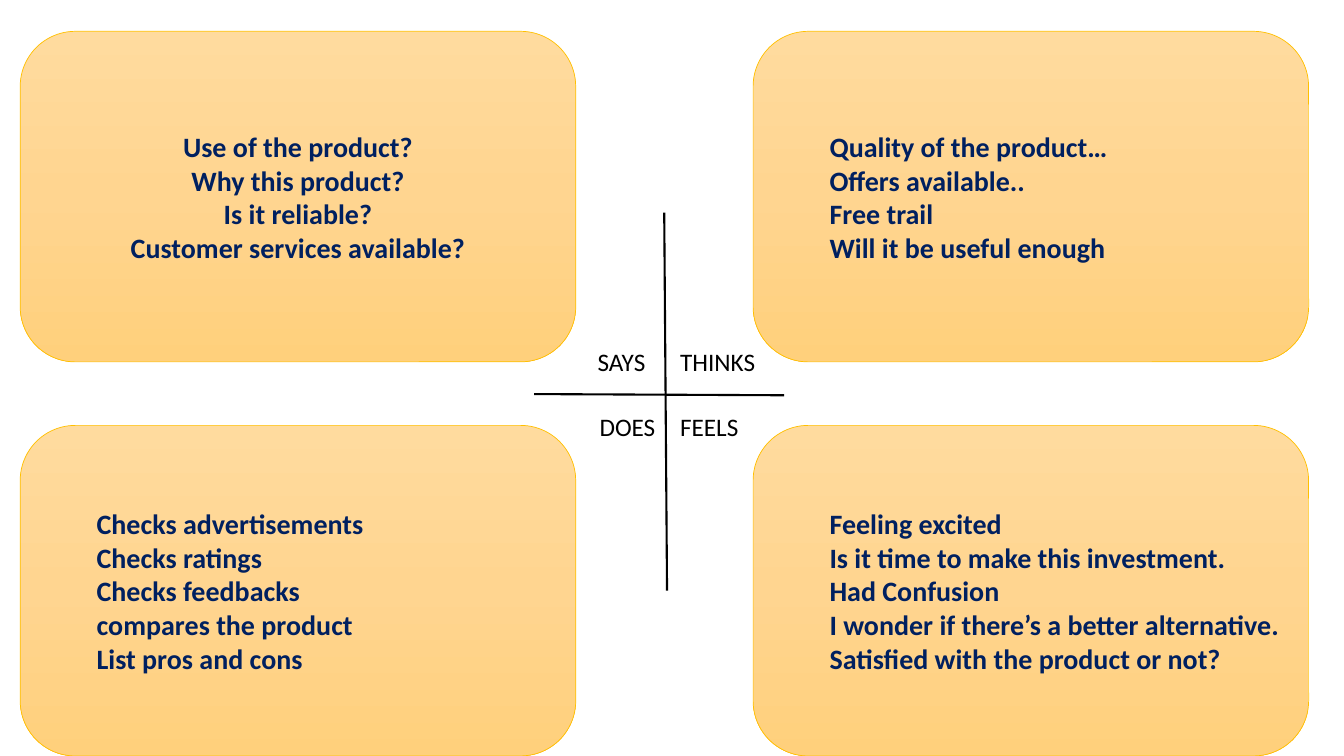
"""Empathy map: four quadrant cards around a labelled cross."""
import copy
from dataclasses import dataclass

import pptx
import pptx.dml.color
import pptx.enum.shapes
import pptx.enum.text
import pptx.oxml
import pptx.oxml.ns
import pptx.slide
import pptx.text.text
import pptx.util
from pptx.util import Cm


@dataclass(frozen=True)
class Theme:
    """Colours and type sizes of the slide."""
    font: str = "Calibri"
    gradient: tuple[str, ...] = ("FFDB9E", "FFD590", "FFD07C")
    card_border: str = "FFC000"
    card_text: str = "002060"
    ink: str = "000000"
    card_size: float = 20
    label_size: float = 18
    border_width: float = 0.5
    axis_width: float = 1.5


@dataclass(frozen=True)
class Quadrant:
    """One card with its label; label place and width are in centimetres."""
    label: str
    column: int
    row: int
    label_left: float
    label_width: float
    thoughts: tuple[str, ...]
    centred: bool = False


@dataclass(frozen=True)
class Axis:
    """A line of the cross, in centimetres."""
    start: tuple[float, float]
    end: tuple[float, float]


THEME = Theme()
CARD_LEFT, CARD_TOP = 0.51, 0.79
CARD_WIDTH, CARD_HEIGHT = 14, 8.33
COLUMN_PITCH, ROW_PITCH = 18.47, 9.93
LABEL_TOP, LABEL_PITCH, LABEL_HEIGHT = 8.61, 1.63, 1.02
THOUGHT_INDENT = Cm(1.27)

QUADRANTS = (
    Quadrant("SAYS", 0, 0, 14.81, 1.73, (
        "Use of the product?", "Why this product?", "Is it reliable?",
        "Customer services available?"), centred=True),
    Quadrant("THINKS", 1, 0, 16.89, 2.41, (
        "Quality of the product…", "Offers available..", "Free trail",
        "Will it be useful enough")),
    Quadrant("DOES", 0, 1, 14.86, 1.93, (
        "Checks advertisements", "Checks ratings", "Checks feedbacks",
        "compares the product", "List pros and cons")),
    Quadrant("FEELS", 1, 1, 16.89, 2.01, (
        "Feeling excited", "Is it time to make this investment.",
        "Had Confusion", "I wonder if there’s a better alternative.",
        "Satisfied with the product or not?")),
)
AXES = (
    Axis((16.74, 5.36), (16.81, 14.88)),
    Axis((13.46, 9.93), (19.76, 9.96)),
)


def rgb(value: str) -> pptx.dml.color.RGBColor:
    """Turn a hex string into a colour."""
    return pptx.dml.color.RGBColor.from_string(value)


def style_text(frame: pptx.text.text.TextFrame, size: float, color: str,
               bold: bool = False) -> None:
    """Format every run of a text frame alike."""
    for paragraph in frame.paragraphs:
        for run in paragraph.runs:
            run.font.name = THEME.font
            run.font.size = pptx.util.Pt(size)
            run.font.bold = bold
            run.font.color.rgb = rgb(color)


def draw_card(slide: pptx.slide.Slide, quadrant: Quadrant) -> None:
    """Draw the rounded card with the quadrant's thoughts."""
    card = slide.shapes.add_shape(
        pptx.enum.shapes.MSO_SHAPE.ROUNDED_RECTANGLE,
        Cm(CARD_LEFT + quadrant.column * COLUMN_PITCH),
        Cm(CARD_TOP + quadrant.row * ROW_PITCH),
        Cm(CARD_WIDTH), Cm(CARD_HEIGHT))
    card.shadow.inherit = False
    card.fill.gradient()
    card.fill.gradient_angle = 270
    stops = card.element.spPr.find(".//" + pptx.oxml.ns.qn("a:gsLst"))
    middle = copy.deepcopy(stops[0])
    middle.set("pos", "50000")
    stops.insert(1, middle)
    for stop, color in zip(card.fill.gradient_stops, THEME.gradient):
        stop.color.rgb = rgb(color)
    card.line.color.rgb = rgb(THEME.card_border)
    card.line.width = pptx.util.Pt(THEME.border_width)

    frame = card.text_frame
    frame.word_wrap = True
    frame.vertical_anchor = pptx.enum.text.MSO_ANCHOR.MIDDLE
    frame.text = "\n".join(quadrant.thoughts)
    for thought in frame.paragraphs:
        if quadrant.centred:
            thought.alignment = pptx.enum.text.PP_ALIGN.CENTER
        else:
            thought.alignment = pptx.enum.text.PP_ALIGN.LEFT
            thought.level = 1
            properties = thought._p.get_or_add_pPr()
            properties.set("marL", str(THOUGHT_INDENT))
            properties.set("indent", "0")
    style_text(frame, THEME.card_size, THEME.card_text, bold=True)


def draw_axis(slide: pptx.slide.Slide, axis: Axis) -> None:
    """Draw one line of the cross without a shadow."""
    line = slide.shapes.add_connector(
        pptx.enum.shapes.MSO_CONNECTOR.STRAIGHT,
        *(Cm(value) for value in axis.start + axis.end))
    line.line.color.rgb = rgb(THEME.ink)
    line.line.width = pptx.util.Pt(THEME.axis_width)
    line.element.spPr.append(pptx.oxml.parse_xml(
        f"<a:effectLst {pptx.oxml.ns.nsdecls('a')}/>"))


def draw_label(slide: pptx.slide.Slide, quadrant: Quadrant) -> None:
    """Write the quadrant's name beside the cross."""
    label = slide.shapes.add_textbox(
        Cm(quadrant.label_left), Cm(LABEL_TOP + quadrant.row * LABEL_PITCH),
        Cm(quadrant.label_width), Cm(LABEL_HEIGHT))
    frame = label.text_frame
    frame.word_wrap = False
    frame.auto_size = pptx.enum.text.MSO_AUTO_SIZE.SHAPE_TO_FIT_TEXT
    frame.text = quadrant.label
    style_text(frame, THEME.label_size, THEME.ink)


def main() -> None:
    """Build and save the slide."""
    deck = pptx.Presentation()
    deck.slide_width, deck.slide_height = Cm(33.87), Cm(19.05)
    slide = deck.slides.add_slide(deck.slide_layouts.get_by_name("Blank"))
    for quadrant in QUADRANTS:
        draw_card(slide, quadrant)
    for axis in AXES:
        draw_axis(slide, axis)
    for quadrant in QUADRANTS:
        draw_label(slide, quadrant)
    deck.save("out.pptx")


main()
